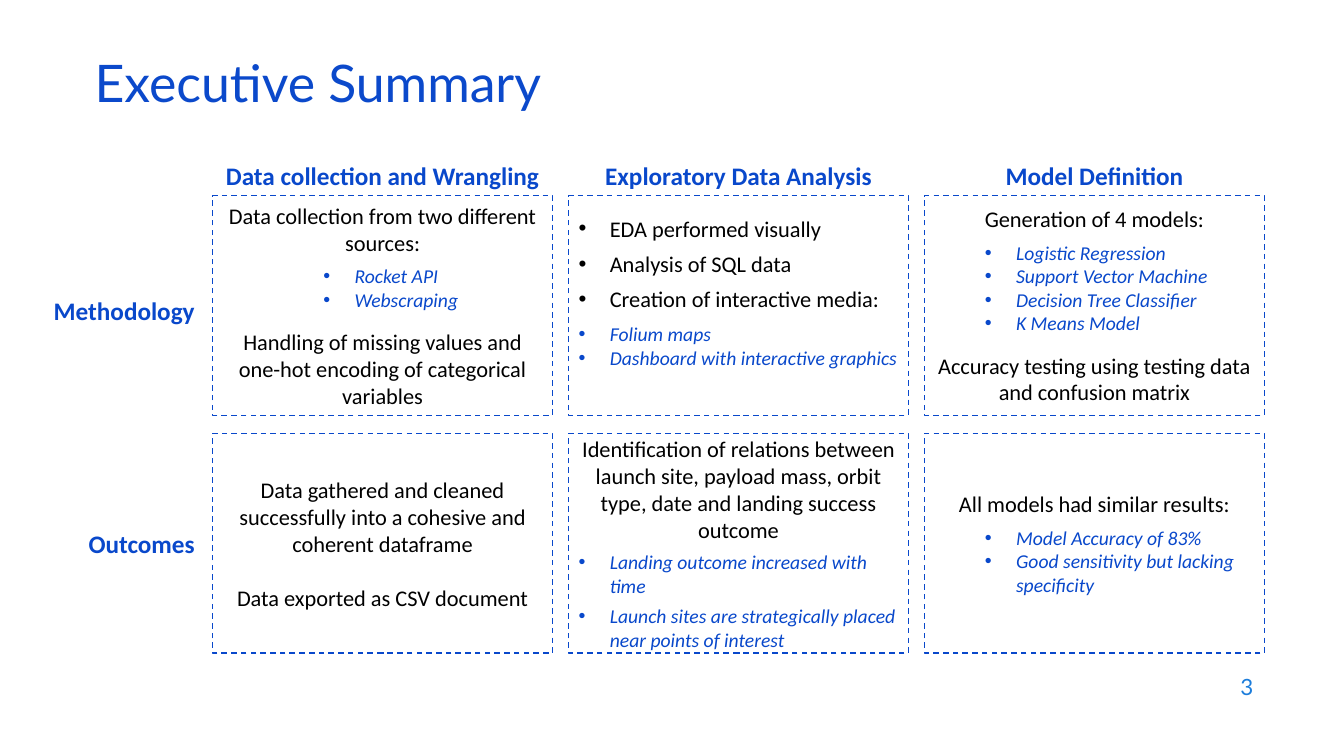
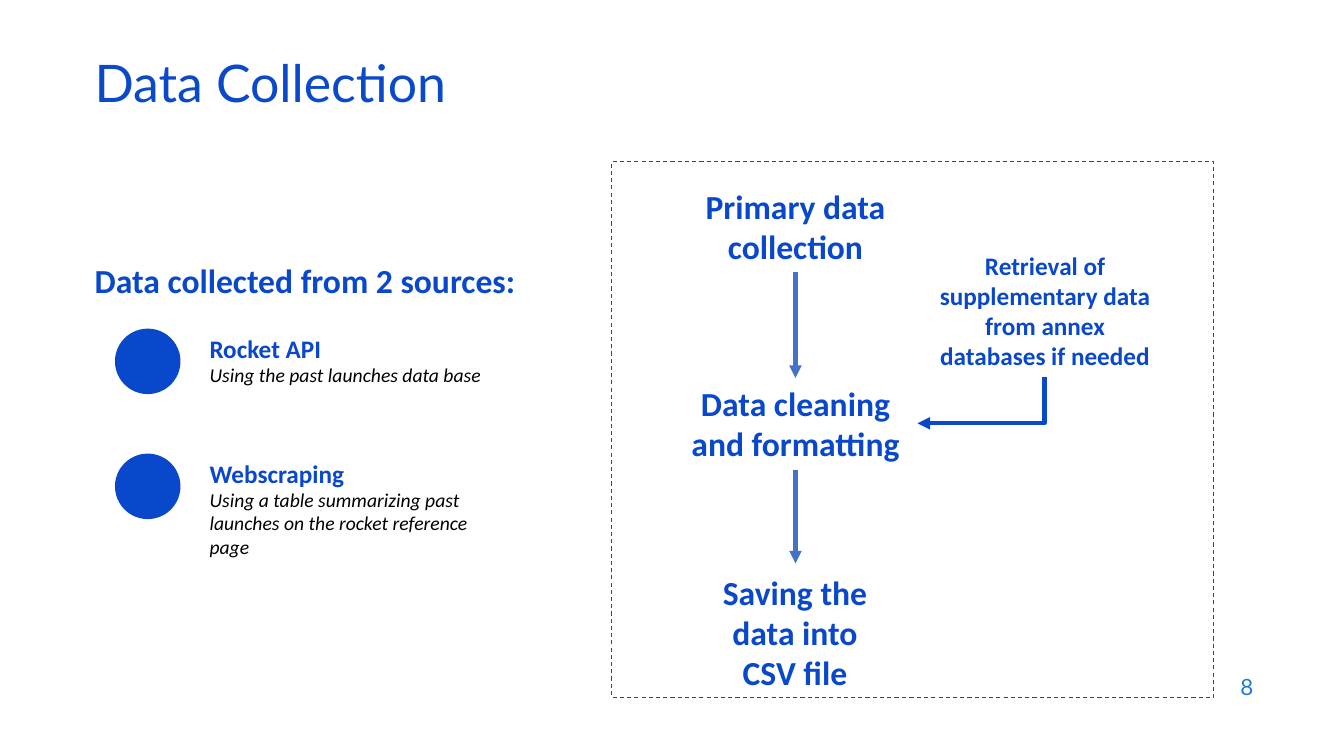
"""Build the summary and data collection slides."""
from dataclasses import dataclass

from lxml.etree import SubElement
from pptx import Presentation
from pptx.dml.color import RGBColor
from pptx.enum.dml import MSO_LINE
from pptx.enum.shapes import MSO_CONNECTOR, MSO_SHAPE
from pptx.enum.text import MSO_ANCHOR, PP_ALIGN
from pptx.oxml.ns import qn
from pptx.presentation import Presentation as Deck
from pptx.shapes.autoshape import Shape
from pptx.shapes.connector import Connector
from pptx.slide import Slide
from pptx.util import Inches, Pt

BLUE = RGBColor(0x09, 0x48, 0xCB)
TITLE = RGBColor(0x0B, 0x49, 0xCB)
PAGE = RGBColor(0x1C, 0x7D, 0xDB)
STEEL = RGBColor(0x44, 0x72, 0xC4)
BLACK = RGBColor(0, 0, 0)

LEFT, MID, RIGHT = PP_ALIGN.LEFT, PP_ALIGN.CENTER, PP_ALIGN.RIGHT
HANG = 0.31


@dataclass(frozen=True)
class Look:
    size: float
    color: RGBColor
    bold: bool = False
    slant: bool = False
    face: str = "Calibri"


HEAD = Look(37, TITLE, face="Lato")
FOOT = Look(16, PAGE, face="Lato")
STEP = Look(24, BLUE, bold=True)
LABEL = Look(18, BLUE, bold=True)
BODY = Look(16, BLACK)
POINT = Look(14, BLUE, slant=True)
NOTE = Look(14, BLACK, slant=True)


@dataclass(frozen=True)
class Line:
    text: str
    look: Look = BODY
    gap: float = 0
    dent: float = 0
    align: PP_ALIGN = MID
    space: float = 1


@dataclass(frozen=True)
class Box:
    x: float
    y: float
    w: float
    h: float

    def place(self) -> tuple:
        return tuple(Inches(v) for v in (self.x, self.y, self.w, self.h))


@dataclass(frozen=True)
class Cell:
    col: int
    row: int
    lines: list[Line]
    lift: float = 0


@dataclass(frozen=True)
class Source:
    name: str
    note: str


def dot(text: str, dent: float = HANG, gap: float = 0, look: Look = POINT) -> Line:
    return Line(text, look, gap, dent, LEFT)


COLS = ["Data collection and Wrangling", "Exploratory Data Analysis", "Model Definition"]
ROWS = {"Methodology": 2.88, "Outcomes": 5.19}
CELLS = [
    Cell(0, 0, [
        Line("Data collection from two different sources:"),
        dot("Rocket API", 1.31, 6),
        dot("Webscraping", 1.31),
        Line("Handling of missing values and one-hot encoding of categorical variables", gap=12),
    ]),
    Cell(1, 0, [
        dot("EDA performed visually", look=BODY),
        dot("Analysis of SQL data", gap=6, look=BODY),
        dot("Creation of interactive media:", gap=6, look=BODY),
        dot("Folium maps", gap=7),
        dot("Dashboard with interactive graphics"),
    ], lift=0.27),
    Cell(2, 0, [
        Line("Generation of 4 models:"),
        dot("Logistic Regression", 0.81, 6),
        dot("Support Vector Machine", 0.81),
        dot("Decision Tree Classifier", 0.81),
        dot("K Means Model", 0.81),
        Line("Accuracy testing using testing data and confusion matrix", gap=12),
    ]),
    Cell(0, 1, [
        Line("Data gathered and cleaned successfully into a cohesive and coherent dataframe"),
        Line("Data exported as CSV document", gap=19.5),
    ]),
    Cell(1, 1, [
        Line("Identification of relations between launch site, payload mass, orbit type, "
             "date and landing success outcome"),
        dot("Landing outcome increased with time", gap=5),
        dot("Launch sites are strategically placed near points of interest", gap=5),
    ]),
    Cell(2, 1, [
        Line("All models had similar results:"),
        dot("Model Accuracy of 83%", 0.81, 6),
        dot("Good sensitivity but lacking specificity", 0.81),
    ]),
]
SOURCES = [
    Source("Rocket API", "Using the past launches data base"),
    Source("Webscraping", "Using a table summarizing past launches on the rocket reference page"),
]
STEPS = [
    (Box(6.67, 1.79, 2.44, 0.91), "Primary data collection", STEP),
    (Box(6.67, 3.75, 2.44, 0.91), "Data cleaning and formatting", STEP),
    (Box(6.9, 5.62, 1.97, 1.31), "Saving the data into CSV file", STEP),
    (Box(9.21, 2.43, 2.31, 1.31), "Retrieval of supplementary data from annex databases if needed", LABEL),
]


def fill_text(shape: Shape, lines: list[Line], **form) -> None:
    frame = shape.text_frame
    for key, val in {"word_wrap": True, **form}.items():
        setattr(frame, key, val)
    for rank, line in enumerate(lines):
        para = frame.add_paragraph() if rank else frame.paragraphs[0]
        if line.dent:
            props = para._p.get_or_add_pPr()
            props.set("marL", str(Inches(line.dent)))
            props.set("indent", str(-Inches(HANG)))
            SubElement(props, qn("a:buFont"), typeface="Arial")
            SubElement(props, qn("a:buChar"), char="•")
        style = {"alignment": line.align, "space_before": Pt(line.gap), "line_spacing": line.space}
        for key, val in style.items():
            setattr(para, key, val)
        run = para.add_run()
        run.text = line.text
        look = line.look
        style = {"size": Pt(look.size), "bold": look.bold, "italic": look.slant, "name": look.face}
        for key, val in style.items():
            setattr(run.font, key, val)
        run.font.color.rgb = look.color


def add_text(slide: Slide, box: Box, line: Line, anchor: MSO_ANCHOR = MSO_ANCHOR.TOP) -> None:
    fill_text(slide.shapes.add_textbox(*box.place()), [line], vertical_anchor=anchor)


def add_frame(slide: Slide, box: Box, color: RGBColor, width: float) -> Shape:
    shape = slide.shapes.add_shape(MSO_SHAPE.RECTANGLE, *box.place())
    shape.shadow.inherit = False
    shape.fill.background()
    shape.line.color.rgb = color
    for key, val in {"width": Pt(width), "dash_style": MSO_LINE.DASH}.items():
        setattr(shape.line, key, val)
    return shape


def add_arrow(slide: Slide, start: tuple, end: tuple, color: RGBColor) -> Connector:
    ends = [Inches(v) for v in (*start, *end)]
    arrow = slide.shapes.add_connector(MSO_CONNECTOR.STRAIGHT, *ends)
    arrow.line.color.rgb = color
    arrow.line.width = Pt(3)
    props = arrow._element.spPr
    SubElement(props.find(qn("a:ln")), qn("a:tailEnd"), type="triangle")
    SubElement(props, qn("a:effectLst"))
    return arrow


def add_bend(slide: Slide) -> None:
    props = add_arrow(slide, (9.5, 3.34), (9.96, 4.6), BLUE)._element.spPr
    props.find(qn("a:xfrm")).set("rot", "5400000")
    props.find(qn("a:prstGeom")).set("prst", "bentConnector2")


def add_slide(deck: Deck, title: str, page: int) -> Slide:
    slide = deck.slides.add_slide(deck.slide_layouts[6])
    head = Line(title, HEAD, align=LEFT, space=0.7)
    add_text(slide, Box(0.84, 0.59, 11.5, 0.6), head, MSO_ANCHOR.MIDDLE)
    foot = Line(str(page), FOOT, align=RIGHT)
    add_text(slide, Box(9.53, 6.59, 3, 0.44), foot, MSO_ANCHOR.MIDDLE)
    return slide


def draw_grid(deck: Deck) -> None:
    slide = add_slide(deck, "Executive Summary", 3)
    left, top, wide, high = 2.11, 1.94, 3.37, 2.18
    over, down = 3.53, 2.36
    for col, name in enumerate(COLS):
        add_text(slide, Box(left + col * over, 1.54, wide, 0.4), Line(name, LABEL))
    for name, y in ROWS.items():
        add_text(slide, Box(0.28, y, 1.75, 0.4), Line(name, LABEL, align=RIGHT))
    for cell in CELLS:
        box = Box(left + cell.col * over, top + cell.row * down, wide, high)
        fill_text(add_frame(slide, box, BLUE, 1), cell.lines, margin_top=0,
                  margin_bottom=Inches(cell.lift), vertical_anchor=MSO_ANCHOR.MIDDLE)


def draw_flow(deck: Deck) -> None:
    slide = add_slide(deck, "Data Collection", 8)
    intro = Line("Data collected from 2 sources:", STEP, align=LEFT)
    add_text(slide, Box(0.84, 2.53, 5.18, 0.5), intro)
    for rank, source in enumerate(SOURCES):
        y = 3.26 + rank * 1.24
        disc = slide.shapes.add_shape(MSO_SHAPE.OVAL, *Box(1.14, y, 0.65, 0.65).place())
        disc.shadow.inherit = False
        disc.fill.solid()
        disc.fill.fore_color.rgb = BLUE
        disc.line.fill.background()
        add_text(slide, Box(1.98, y, 2.3, 0.4), Line(source.name, LABEL, align=LEFT))
        add_text(slide, Box(1.98, y + 0.29, 3.19, 0.81), Line(source.note, NOTE, align=LEFT))
    add_frame(slide, Box(6.07, 1.6, 5.97, 5.32), TITLE, 0.75)
    for box, text, look in STEPS:
        add_text(slide, box, Line(text, look))
    for start, end in ((2.7, 3.75), (4.66, 5.59)):
        add_arrow(slide, (7.89, start), (7.89, end), STEEL)
    add_bend(slide)


def main() -> None:
    deck = Presentation()
    for key, val in {"slide_width": 13.33, "slide_height": 7.5}.items():
        setattr(deck, key, Inches(val))
    draw_grid(deck)
    draw_flow(deck)
    deck.save("out.pptx")


if __name__ == "__main__":
    main()
